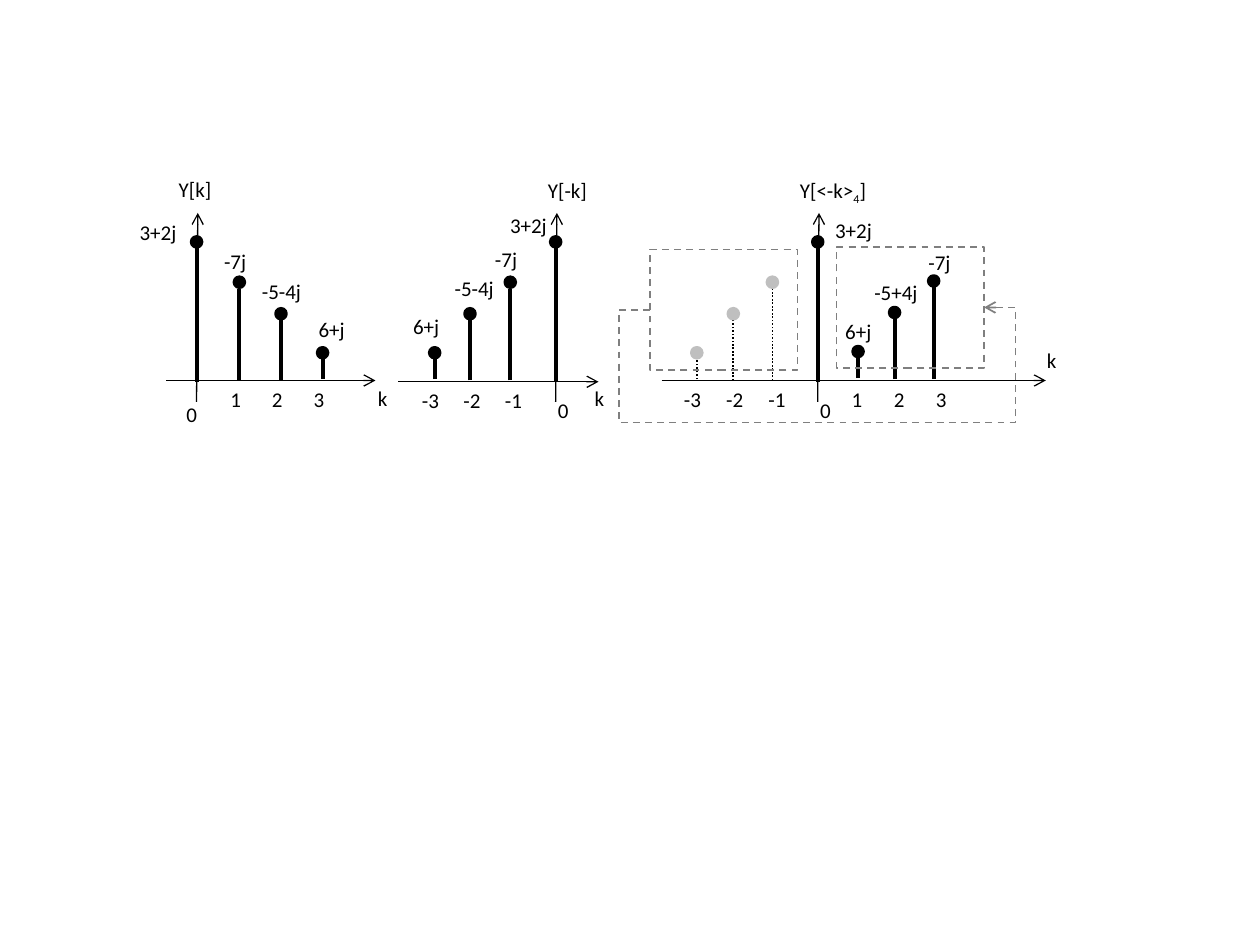
import pptx
import pptx.util
import pptx.dml.color
import pptx.enum.dml
import pptx.enum.shapes
import pptx.enum.text
import pptx.oxml
import pptx.oxml.ns
from pptx.util import Inches

COLORS = {"black": "000000", "faded": "BFBFBF", "frame": "7F7F7F"}
DASH = pptx.enum.dml.MSO_LINE

# Sample value -> (dot centre y, stem top y, stem foot y)
LEVELS = [(1.92, 1.94, 3.03), (2.24, 2.29, 3.02),
          (2.49, 2.52, 3.02), (2.80, 2.83, 3.01)]

# axis: left, right, y; stems: x, level, vertical shift, faded; ticks: first left, step, texts
PLOTS = [
    {"axis": (1.32, 2.98, 3.02), "origin": 1.56,
     "stems": [(1.56, 0, 0, False), (1.90, 1, 0, False),
               (2.23, 2, 0, False), (2.56, 3, 0, False)],
     "ticks": [(1.73, 0.33, ["1", "2", "3"])],
     "labels": [("Y[k]", 1.32, 1.35), ("3+2j", 1.01, 1.69), ("-7j", 1.68, 1.92),
                ("-5-4j", 1.98, 2.16), ("6+j", 2.43, 2.46),
                ("0", 1.38, 3.14), ("k", 2.90, 3.01)]},
    {"axis": (3.16, 4.75, 3.03), "origin": 4.41,
     "stems": [(4.41, 0, 0, False), (4.05, 1, 0, False),
               (3.73, 2, 0, False), (3.45, 3, 0, False)],
     "ticks": [(3.91, -0.33, ["-1", "-2", "-3"])],
     "labels": [("Y[-k]", 4.25, 1.36), ("3+2j", 3.95, 1.64), ("-7j", 3.83, 1.91),
                ("-5-4j", 3.51, 2.14), ("6+j", 3.18, 2.44),
                ("0", 4.33, 3.11), ("k", 4.62, 3.01)]},
    {"axis": (5.25, 8.30, 3.02), "origin": 6.49,
     "stems": [(6.49, 0, 0, False), (6.13, 1, 0, True), (5.82, 2, 0, True),
               (5.53, 3, 0, True), (7.41, 1, -0.01, False),
               (7.10, 2, -0.01, False), (6.81, 3, -0.01, False)],
     "ticks": [(6.00, -0.335, ["-1", "-2", "-3"]), (6.66, 0.335, ["1", "2", "3"])],
     "labels": [("Y[<-k>_4_]", 6.25, 1.36), ("3+2j", 6.53, 1.68), ("-7j", 7.27, 1.93),
                ("-5+4j", 6.84, 2.17), ("6+j", 6.61, 2.48),
                ("0", 6.41, 3.11), ("k", 8.21, 2.71)]},
]
WIDTHS = {"Y[k]": 0.47, "Y[-k]": 0.52, "Y[<-k>_4_]": 1.42, "3+2j": 0.5, "-7j": 0.38,
          "-5-4j": 0.52, "-5+4j": 0.55, "6+j": 0.41, "k": 0.28, "0": 0.29,
          "1": 0.29, "2": 0.29, "3": 0.29, "-1": 0.34, "-2": 0.34, "-3": 0.34}
FRAMES = [(5.16, 1.98), (6.64, 1.96)]
FRAME_SIZE = (1.17, 0.96)
WRAP_START, WRAP_END = (5.16, 2.46), (7.81, 2.44)
WRAP_MARGIN, WRAP_BOTTOM = 0.25, 3.35


def rgb(name):
    """Return the named colour."""
    return pptx.dml.color.RGBColor.from_string(COLORS[name])


def style_line(line, color, width, dash=None):
    """Set colour, width and dash of an outline."""
    line.color.rgb = rgb(color)
    line.width = pptx.util.Pt(width)
    if dash is not None:
        line.dash_style = dash


def add_line(start, end, width, color="black", dash=None, arrow=False, kind="STRAIGHT"):
    """Draw a connector, with an open arrowhead if asked."""
    cx = shapes.add_connector(getattr(pptx.enum.shapes.MSO_CONNECTOR, kind),
                              *(Inches(v) for v in start + end))
    style_line(cx.line, color, width, dash)
    if arrow:
        tail = pptx.oxml.parse_xml(
            '<a:tailEnd %s type="arrow"/>' % pptx.oxml.ns.nsdecls("a"))
        cx.line._get_or_add_ln().append(tail)
    cx._element.spPr.append(
        pptx.oxml.parse_xml("<a:effectLst %s/>" % pptx.oxml.ns.nsdecls("a")))
    return cx


def add_shape(kind, left, top, width, height):
    """Add an unshadowed preset shape."""
    sp = shapes.add_shape(getattr(pptx.enum.shapes.MSO_SHAPE, kind),
                          *(Inches(v) for v in (left, top, width, height)))
    sp.shadow.inherit = False
    return sp


def add_label(text, left, top):
    """Write a label; the part between underscores is a subscript."""
    width = WIDTHS[text]
    sp = shapes.add_textbox(Inches(left), Inches(top), Inches(width), Inches(0.3))
    tf = sp.text_frame
    tf.word_wrap = width > 1
    tf.auto_size = pptx.enum.text.MSO_AUTO_SIZE.SHAPE_TO_FIT_TEXT
    p = tf.paragraphs[0]
    p.font.size = pptx.util.Pt(12)
    p.font.name = "Calibri"
    p.font.color.rgb = rgb("black")
    for i, part in enumerate(text.split("_")):
        r = p.add_run()
        r.text = part
        if i % 2:
            r.font._element.set("baseline", "-25000")


def add_stem(x, level, shift, faded):
    """Draw one sample: a stem with a dot on top."""
    dot, top, foot = (y + shift for y in LEVELS[level])
    if faded:
        add_line((x, foot), (x, top), 1, dash=DASH.ROUND_DOT)
    else:
        add_line((x, foot), (x, top), 2.25)
    color = "faded" if faded else "black"
    sp = add_shape("OVAL", x - 0.04, dot - 0.04, 0.08, 0.08)
    sp.fill.solid()
    sp.fill.fore_color.rgb = rgb(color)
    style_line(sp.line, color, 2)


def add_plot(plot):
    """Draw the axes, samples and labels of one plot."""
    left, right, y = plot["axis"]
    x = plot["origin"]
    add_line((left, y), (right, y), 0.75, arrow=True)
    add_line((x, 3.19), (x + 0.01, 1.69), 0.75, arrow=True)
    for stem in plot["stems"]:
        add_stem(*stem)
    for first, step, texts in plot["ticks"]:
        for i, text in enumerate(texts):
            add_label(text, first + i * step, y)
    for label in plot["labels"]:
        add_label(*label)


def add_wrap_arrow():
    """Lead the dashed arrow below the axis from the left frame to the right one."""
    cx = add_line(WRAP_START, WRAP_END, 1, "frame", DASH.DASH, True, "ELBOW")
    xfrm = cx._element.spPr.xfrm
    del xfrm.attrib["flipV"]
    xfrm.set("rot", "10800000")
    xfrm.set("flipH", "1")
    side = WRAP_MARGIN / (WRAP_END[0] - WRAP_START[0])
    drop = (WRAP_BOTTOM - WRAP_START[1]) / (WRAP_START[1] - WRAP_END[1])
    geom = cx._element.spPr.find(pptx.oxml.ns.qn("a:prstGeom"))
    geom.set("prst", "bentConnector5")
    guides = geom.get_or_add_avLst()
    for i, value in enumerate((-side, -drop, 1 + side), 1):
        guides.append(pptx.oxml.parse_xml('<a:gd %s name="adj%d" fmla="val %d"/>' % (
            pptx.oxml.ns.nsdecls("a"), i, round(value * 100000))))


prs = pptx.Presentation()
prs.slide_width, prs.slide_height = Inches(10), Inches(7.5)
s = prs.slides.add_slide(prs.slide_layouts[6])
shapes = s.shapes
for plot in PLOTS:
    add_plot(plot)
for left, top in FRAMES:
    frame = add_shape("RECTANGLE", left, top, *FRAME_SIZE)
    frame.fill.background()
    style_line(frame.line, "frame", 1, DASH.DASH)
add_wrap_arrow()
prs.save("out.pptx")
